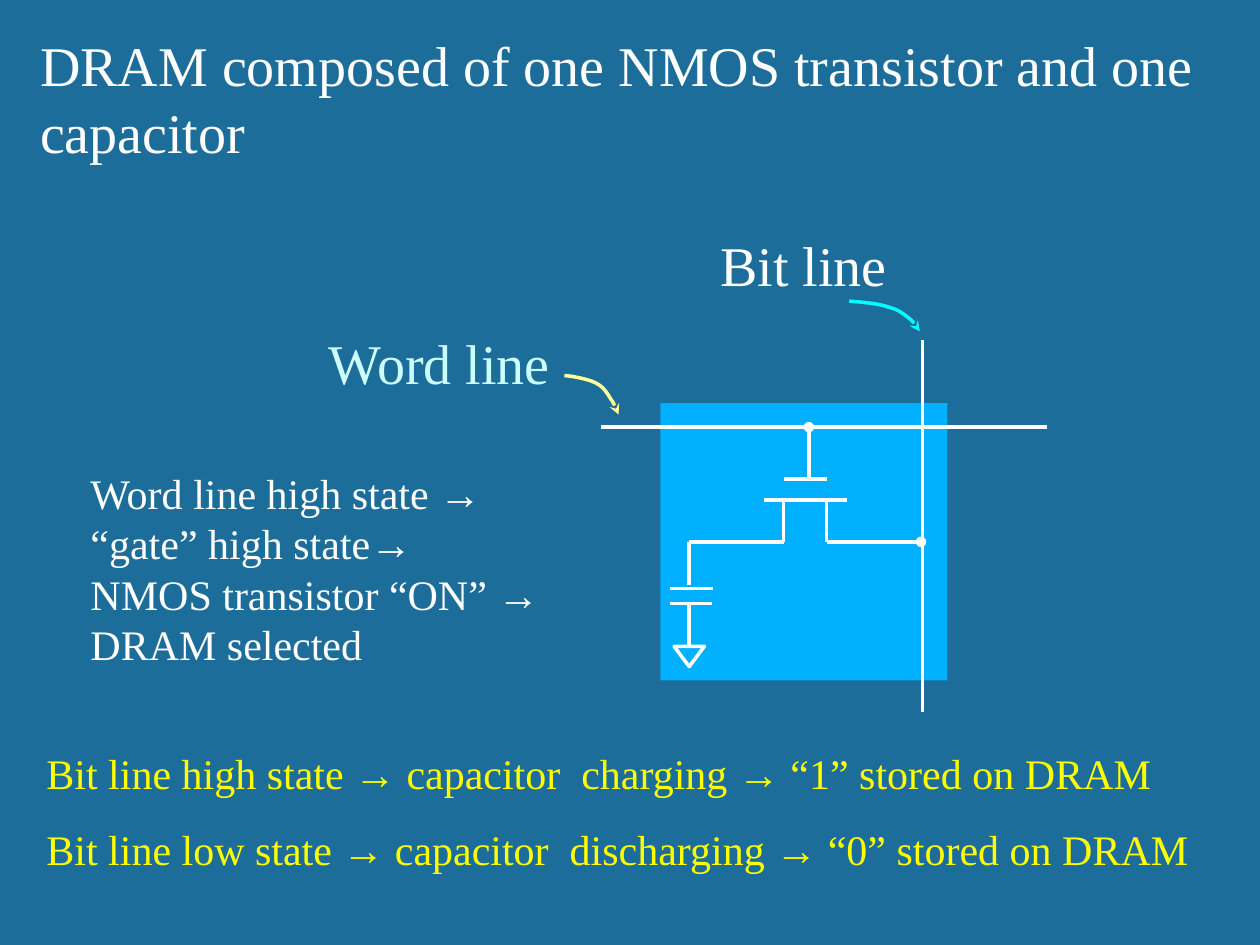
from lxml import etree
from pptx import Presentation
from pptx.dml.color import RGBColor
from pptx.enum.shapes import MSO_CONNECTOR, MSO_SHAPE
from pptx.enum.text import MSO_AUTO_SIZE
from pptx.oxml.ns import qn
from pptx.util import Inches, Pt

# The slide is a grid of 100 columns by 75 rows
GRID = Inches(0.1)
WHITE, YELLOW = "FFFFFF", "FFFF00"


def color(value):
    return RGBColor.from_string(value)


def units(*values):
    return [round(value * GRID) for value in values]


def style_line(shape, line_color, tail=None):
    shape.line.color.rgb = color(line_color)
    shape.line.width = Pt(2)
    if tail:
        line = shape.line._get_or_add_ln()
        etree.SubElement(line, qn("a:tailEnd"), type=tail)


def add_text(slide, box, lines, size=24, text_color=WHITE, wrap=True):
    frame = slide.shapes.add_textbox(*units(*box)).text_frame
    frame.word_wrap = wrap
    frame.auto_size = MSO_AUTO_SIZE.SHAPE_TO_FIT_TEXT
    frame.text = "\n".join(lines)
    font_format = {"name": "Times New Roman", "size": Pt(size)}
    for paragraph in frame.paragraphs:
        for run in paragraph.runs:
            for name, value in font_format.items():
                setattr(run.font, name, value)
            run.font.color.rgb = color(text_color)


def add_wire(slide, origin, start, end, tail=None):
    left, top = origin
    ends = units(left + start[0], top + start[1], left + end[0], top + end[1])
    wire = slide.shapes.add_connector(MSO_CONNECTOR.STRAIGHT, *ends)
    style_line(wire, WHITE, tail)
    etree.SubElement(wire._element.spPr, qn("a:effectLst"))


def curve_points(start, segments, steps=8):
    """Points along a chain of cubic curves."""
    points = [start]
    for first, second, end in segments:
        begin = points[-1]
        for step in range(1, steps + 1):
            t = step / steps
            s = 1 - t
            points.append(tuple(
                s**3 * a + 3 * s * s * t * b + 3 * s * t * t * c + t**3 * d
                for a, b, c, d in zip(begin, first, second, end)))
    return points


def add_curved_arrow(slide, origin, segments, line_color):
    left, top = origin
    points = [units(left + x, top + y) for x, y in curve_points((0, 0), segments)]
    builder = slide.shapes.build_freeform(*points[0])
    builder.add_line_segments(points[1:], close=False)
    arrow = builder.convert_to_shape()
    arrow.shadow.inherit = False
    arrow.fill.background()
    style_line(arrow, line_color, "stealth")


def add_memory_cell(slide, box):
    left, top, width, height = box
    background = slide.shapes.add_shape(MSO_SHAPE.RECTANGLE, *units(*box))
    background.shadow.inherit = False
    background.fill.solid()
    background.fill.fore_color.rgb = color("01B0FF")
    background.line.fill.background()

    gate, source, drain, capacitor, bit = 11.8, 9.8, 13.2, 2.3, 20.8
    word, gate_plate, channel, contact = 1.9, 6, 7.7, 11
    upper_plate, lower_plate, ground = 14.7, 15.9, 19.3
    wires = [
        # Word line and bit line
        ((-4.7, word), (30.7, word)),
        ((bit, -5), (bit, 24.5)),
        # Transistor
        ((gate, gate_plate), (gate, word), "oval"),
        ((drain, gate_plate), (source, gate_plate)),
        ((14.8, channel), (8.2, channel)),
        ((source, channel), (source, contact)),
        ((drain, channel), (drain, contact)),
        ((source, contact), (capacitor, contact)),
        ((drain, contact), (bit - 0.1, contact), "oval"),
        # Capacitor
        ((capacitor, contact), (capacitor, 14.4)),
        ((4.2, upper_plate), (0.8, upper_plate)),
        ((4.1, lower_plate), (0.8, lower_plate)),
        ((capacitor, lower_plate), (capacitor, ground)),
    ]
    for wire in wires:
        add_wire(slide, (left, top), *wire)

    # Ground symbol
    symbol = slide.shapes.add_shape(
        MSO_SHAPE.ISOSCELES_TRIANGLE,
        *units(left + capacitor - 1.2, top + ground, 2.4, 1.6))
    symbol.rotation = 180
    symbol.shadow.inherit = False
    symbol.fill.background()
    style_line(symbol, WHITE)


def add_line_label(slide, box, text, text_color, arrow_start, segments, arrow_color):
    add_text(slide, box, [text], 32, text_color, wrap=False)
    origin = (box[0] + arrow_start[0], box[1] + arrow_start[1])
    add_curved_arrow(slide, origin, segments, arrow_color)


def add_conclusions(slide, box, lines):
    left, top, width, pitch = box
    for row, line in enumerate(lines):
        add_text(slide, (left, top + row * pitch, width, 5), [line], text_color=YELLOW)


def main():
    presentation = Presentation()
    presentation.slide_width, presentation.slide_height = units(100, 75)
    slide = presentation.slides.add_slide(presentation.slide_layouts[6])
    slide.background.fill.solid()
    slide.background.fill.fore_color.rgb = color("1C6D9A")

    # Circuit
    add_memory_cell(slide, (52.4, 32, 22.8, 22))

    # Line names with their arrows
    add_line_label(
        slide, (25.1, 25.6, 19.7, 6.4), "Word line", "CCFFFF", (19.7, 4.2),
        [((0.9, 0.1), (1.9, 0.3), (2.5, 0.6)),
         ((3.1, 0.9), (3.4, 1.4), (3.7, 1.9)),
         ((4, 2.3), (4.2, 2.9), (4.3, 3.1))], "FFFF99")
    add_line_label(
        slide, (56.2, 17.8, 15.4, 6.4), "Bit line", WHITE, (11.2, 6.1),
        [((1.2, 0.1), (2.4, 0.2), (3.2, 0.5)),
         ((4, 0.7), (4.4, 1.1), (4.8, 1.4)),
         ((5.2, 1.7), (5.4, 2.2), (5.6, 2.4))], "00FFFF")

    # Title
    add_text(slide, (2.2, 1.9, 95.6, 11.8),
             ["DRAM composed of one NMOS transistor and one capacitor"], 32)

    # Selection steps
    add_text(slide, (6.2, 36.6, 38.3, 17.2),
             ["Word line high state →",
              "“gate” high state→",
              "NMOS transistor “ON” → DRAM selected"])

    # Stored values
    add_conclusions(slide, (2.7, 58.8, 95.1, 6.1),
                    ["Bit line high state → capacitor  charging → “1” stored on DRAM",
                     "Bit line low state → capacitor  discharging → “0” stored on DRAM"])

    presentation.save("out.pptx")


if __name__ == "__main__":
    main()
